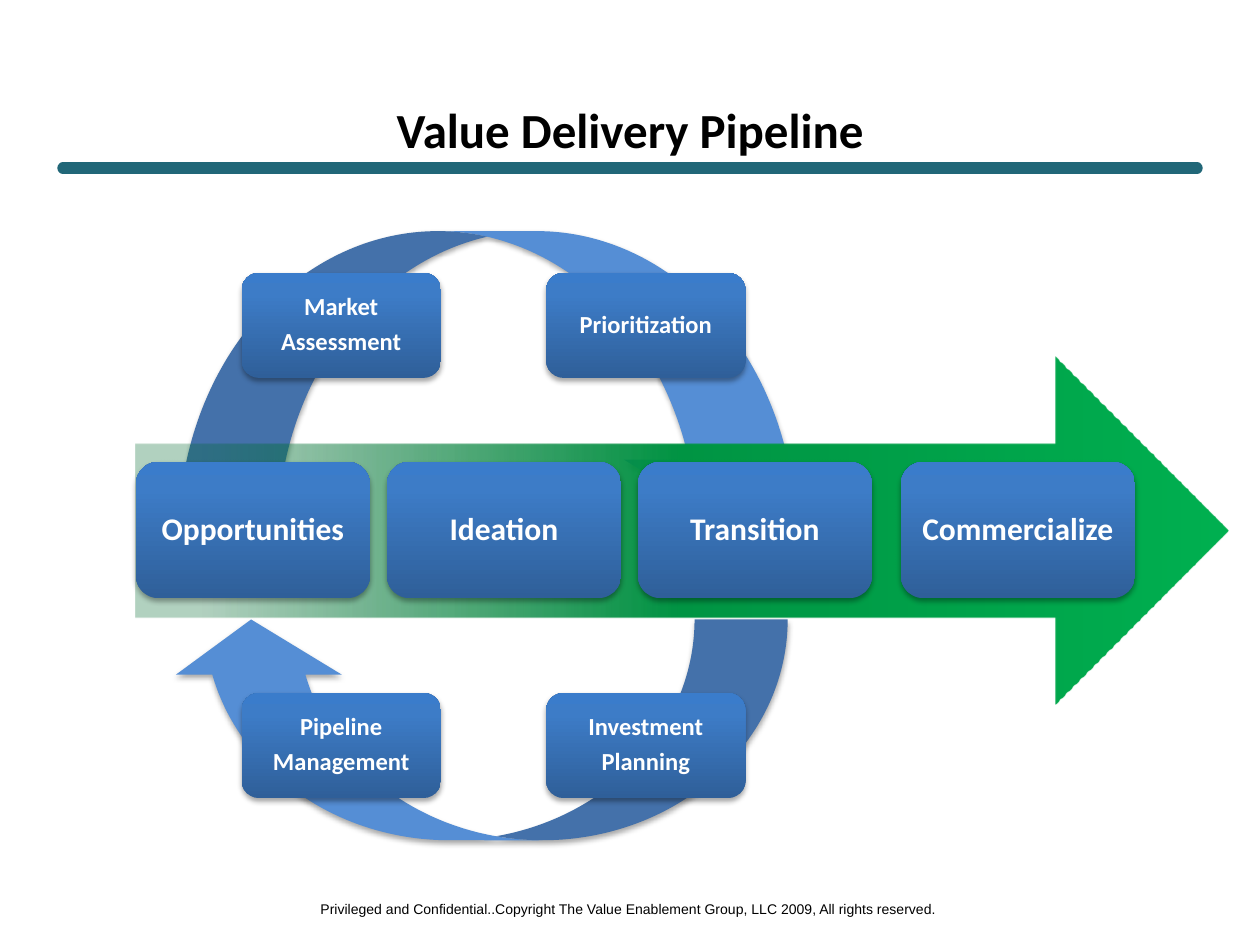
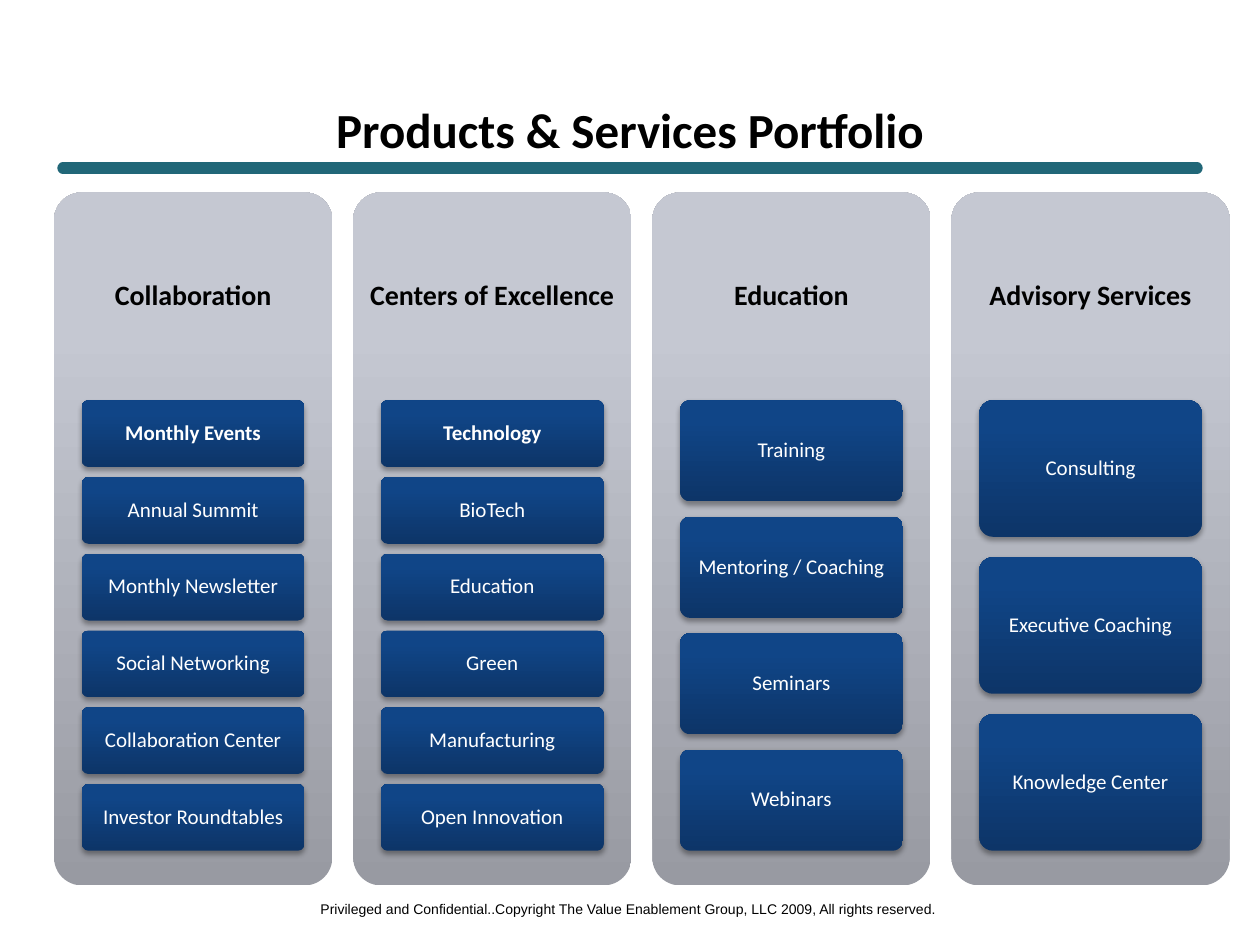
"""Build the value pipeline and services portfolio slides."""
from dataclasses import dataclass

from lxml import etree
from pptx import Presentation
from pptx.dml.color import RGBColor
from pptx.enum.shapes import MSO_CONNECTOR, MSO_SHAPE
from pptx.enum.text import MSO_ANCHOR, MSO_AUTO_SIZE, PP_ALIGN
from pptx.oxml.ns import qn
from pptx.util import Cm, Pt

ROUNDED = MSO_SHAPE.ROUNDED_RECTANGLE
RIGHT_ARROW = MSO_SHAPE.RIGHT_ARROW
CURVED_ARROW = MSO_SHAPE.CURVED_DOWN_ARROW
STRAIGHT = MSO_CONNECTOR.STRAIGHT
MIDDLE = MSO_ANCHOR.MIDDLE
CENTER = PP_ALIGN.CENTER
FIT_SHAPE = MSO_AUTO_SIZE.SHAPE_TO_FIT_TEXT
NO_FIT = MSO_AUTO_SIZE.NONE


@dataclass(frozen=True)
class Theme:
    font: str = "Calibri"
    footer_font: str = "Arial"
    dark: str = "000000"
    light: str = "FFFFFF"
    rule: str = "216778"
    cycle: str = "558ED5"
    stage: tuple = ((0, "2F5F99", 100), (80, "3D7CC7", 100), (100, "3A7CCB", 100))
    column: tuple = ((0, "989AA2", 100), (80, "C5C8D2", 100), (100, "C5C9D3", 100))
    service: tuple = ((0, "0D3568", 100), (80, "104587", 100), (100, "0E458A", 100))
    flow: tuple = ((6, "00682F", 30), (50, "009443", 100), (100, "00B050", 100))
    title_size: int = 28
    stage_size: int = 18
    heading_size: int = 16
    step_size: int = 14
    service_size: int = 12
    footer_size: int = 8


FOOTER = ("Privileged and Confidential..Copyright The Value Enablement Group, "
          "LLC 2009, All rights reserved.")

STAGES = (("Opportunities", 2.74), ("Ideation", 7.8),
          ("Transition", 12.86), ("Commercialize", 18.16))

STEPS = (("Investment\nPlanning", 11.01, 13.97), ("Market\nAssessment", 4.87, 5.5),
         ("Pipeline\nManagement", 4.87, 13.97), ("Prioritization", 11.01, 5.5))

PORTFOLIO = {
    "Collaboration": ("Monthly Events", "Annual Summit", "Monthly Newsletter",
                      "Social Networking", "Collaboration Center",
                      "Investor Roundtables"),
    "Centers of Excellence": ("Technology", "BioTech", "Education", "Green",
                              "Manufacturing", "Open Innovation"),
    "Education": ("Training", "Mentoring / Coaching", "Seminars", "Webinars"),
    "Advisory Services": ("Consulting", "Executive Coaching", "Knowledge Center"),
}
EMPHASIZED = ("Monthly Events", "Technology")


def assign(target, values):
    for name, value in values.items():
        setattr(target, name, value)


def box(left, top, width, height):
    return Cm(left), Cm(top), Cm(width), Cm(height)


class Deck:
    def __init__(self, theme):
        self.theme = theme
        self.presentation = Presentation()
        assign(self.presentation, {"slide_width": Cm(25.4), "slide_height": Cm(19.05)})
        self.slide = None

    def start(self, title):
        theme = self.theme
        layout = self.presentation.slide_layouts[5]
        self.slide = self.presentation.slides.add_slide(layout)
        self.rule()
        footer = self.slide.shapes.add_textbox(*box(6.12, 18.01, 13.11, 0.61))
        self.set_text(footer, FOOTER, theme.footer_size, theme.dark,
                      font=theme.footer_font, wrap=False, fit=FIT_SHAPE,
                      inset=0.13, spaced=False)
        heading = self.slide.shapes.title
        left, top, width, height = box(1.27, 2.11, 22.86, 0.97)
        assign(heading, {"left": left, "top": top, "width": width, "height": height})
        self.set_text(heading, title, theme.title_size, theme.dark, bold=True,
                      inset=0.13, spaced=False)

    def rule(self):
        line = self.slide.shapes.add_connector(
            STRAIGHT, Cm(1.27), Cm(3.39), Cm(24.13), Cm(3.39))
        line.line.color.rgb = RGBColor.from_string(self.theme.rule)
        line.line.width = Pt(6.5)
        properties = line._element.spPr
        properties.find(qn("a:ln")).set("cap", "rnd")
        etree.SubElement(properties, qn("a:effectLst"))

    def set_text(self, shape, text, size, color, bold=False, font=None,
                 inset=0.08, wrap=True, fit=NO_FIT, spaced=True):
        frame = shape.text_frame
        frame.text = text
        margins = {f"margin_{side}": Cm(inset)
                   for side in ("left", "top", "right", "bottom")}
        assign(frame, {"word_wrap": wrap, "auto_size": fit,
                       "vertical_anchor": MIDDLE, **margins})
        layout = {"alignment": CENTER}
        if spaced:
            layout.update(line_spacing=0.9, space_after=Pt(size * 0.35))
        for paragraph in frame.paragraphs:
            assign(paragraph, layout)
            assign(paragraph.font, {"name": font or self.theme.font,
                                    "size": Pt(size), "bold": bold})
            paragraph.font.color.rgb = RGBColor.from_string(color)

    def shape(self, preset, place, fill, angle=90, adjust=(), shadow=True):
        shape = self.slide.shapes.add_shape(preset, *box(*place))
        for index, value in enumerate(adjust):
            shape.adjustments[index] = value
        if isinstance(fill, str):
            shape.fill.solid()
            shape.fill.fore_color.rgb = RGBColor.from_string(fill)
        else:
            self.gradient(shape, fill, angle)
        shape.line.fill.background()
        shape.shadow.inherit = False
        if shadow:
            self.shadow(shape)
        return shape

    def gradient(self, shape, stops, angle):
        shape.fill.gradient()
        shape.fill.gradient_angle = angle
        ramp = shape._element.spPr.find(".//" + qn("a:gsLst"))
        for stop in list(ramp):
            ramp.remove(stop)
        for position, color, opacity in stops:
            stop = etree.SubElement(ramp, qn("a:gs"), pos=str(position * 1000))
            self.tint(stop, color, opacity)

    def tint(self, parent, color, opacity):
        tone = etree.SubElement(parent, qn("a:srgbClr"), val=color)
        if opacity < 100:
            etree.SubElement(tone, qn("a:alpha"), val=str(opacity * 1000))

    def shadow(self, shape):
        effects = shape._element.spPr.find(qn("a:effectLst"))
        outer = etree.SubElement(effects, qn("a:outerShdw"), blurRad=str(Pt(3.1)),
                                 dist=str(Pt(1.8)), dir="5400000", rotWithShape="0")
        self.tint(outer, self.theme.dark, 35)

    def flip(self, shape):
        transform = shape._element.spPr.find(qn("a:xfrm"))
        for axis in ("flipH", "flipV"):
            transform.set(axis, "1")

    def label(self, place, text, size, color):
        caption = self.slide.shapes.add_textbox(*box(*place))
        self.set_text(caption, text, size, color, bold=True, inset=0.18)

    def button(self, place, text, size, fill, bold=True, inset=0.18, adjust=()):
        button = self.shape(ROUNDED, place, fill, adjust=adjust)
        self.set_text(button, text, size, self.theme.light, bold=bold, inset=inset)


def pipeline(deck):
    theme = deck.theme
    deck.start("Value Delivery Pipeline")
    deck.shape(CURVED_ARROW, (3.6, 4.66, 13.76, 6.14), theme.cycle,
               adjust=(0.325, 0.752, 0.25))
    returning = deck.shape(CURVED_ARROW, (3.39, 12.49, 12.49, 4.45), theme.cycle,
                           adjust=(0.422, 0.752, 0.25))
    deck.flip(returning)
    deck.shape(RIGHT_ARROW, (2.74, 7.2, 22.02, 6.99), theme.flow, angle=0, shadow=False)
    for name, left in STAGES:
        deck.button((left, 9.31, 4.72, 2.75), name, theme.stage_size, theme.stage)
    for name, left, top in STEPS:
        deck.button((left, top, 4.02, 2.12), name, theme.step_size, theme.stage,
                    inset=0.28)


def portfolio(deck):
    theme = deck.theme
    column_top, column_width, pitch = 3.88, 5.61, 6.03
    heading_height, list_height, gap_ratio = 4.19, 9.08, 0.15
    deck.start("Products & Services Portfolio")
    for column, (heading, services) in enumerate(PORTFOLIO.items()):
        left = 1.09 + column * pitch
        deck.shape(ROUNDED, (left, column_top, column_width, 13.97), theme.column,
                   adjust=(0.1,), shadow=False)
        deck.label((left, column_top, column_width, heading_height), heading,
                   theme.heading_size, theme.dark)
        count = len(services)
        height = list_height / (count + gap_ratio * (count - 1))
        for row, service in enumerate(services):
            top = column_top + heading_height + row * height * (1 + gap_ratio)
            deck.button((left + 0.56, top, 4.49, height), service,
                        theme.service_size, theme.service,
                        bold=service in EMPHASIZED, inset=0.08, adjust=(0.1,))


def main():
    deck = Deck(Theme())
    pipeline(deck)
    portfolio(deck)
    deck.presentation.save("out.pptx")


if __name__ == "__main__":
    main()
